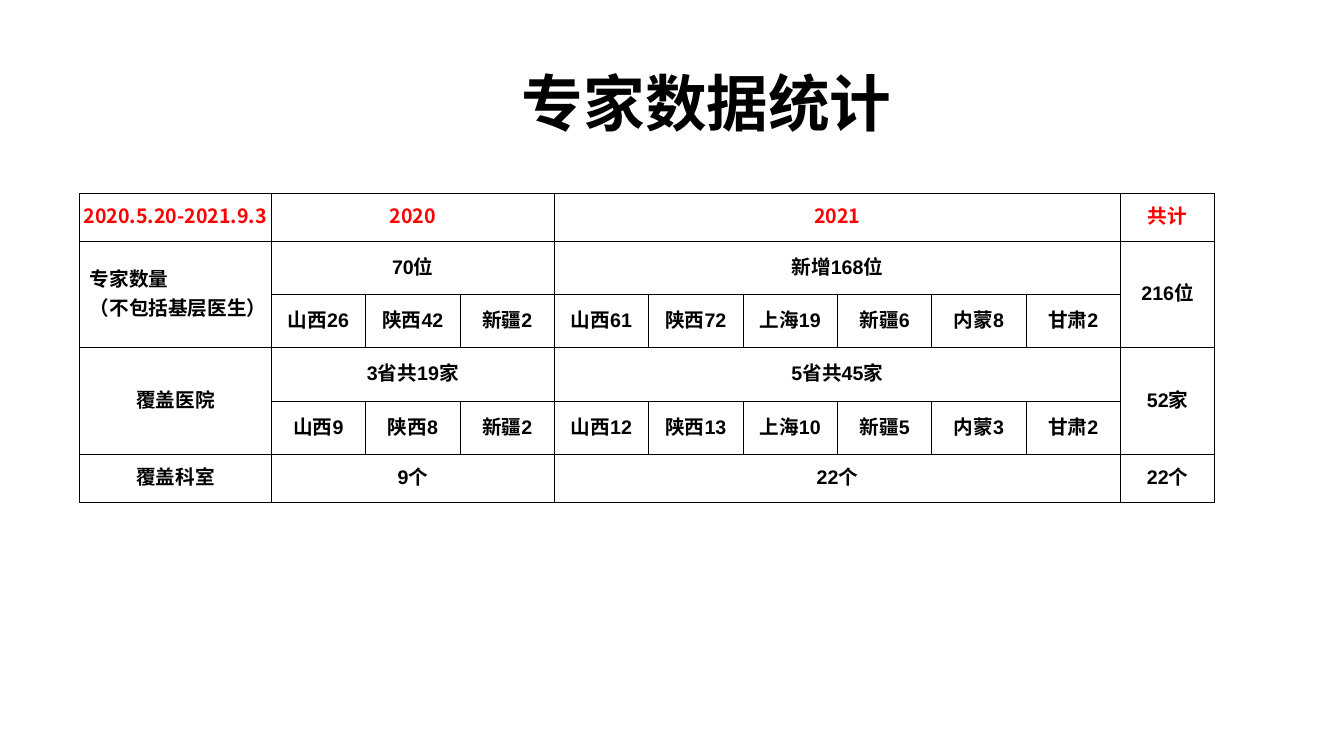
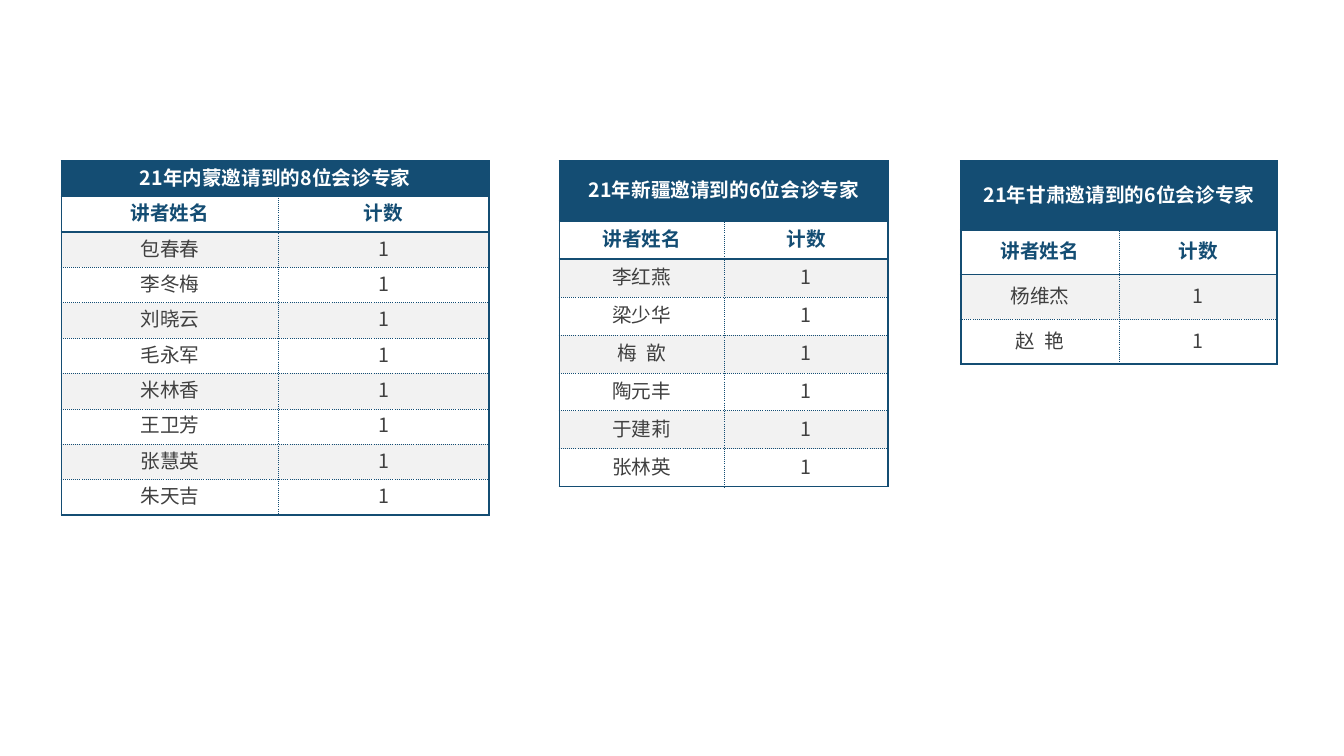
from lxml.etree import SubElement
from pptx import Presentation
from pptx.dml.color import RGBColor
from pptx.enum.text import MSO_ANCHOR, PP_ALIGN
from pptx.oxml.ns import qn
from pptx.util import Inches, Pt

COLORS = {
    "black": "000000", "red": "FF0000", "white": "FFFFFF",
    "navy": "144D73", "gray": "404040", "band": "F2F2F2",
}
CJK = "Noto Sans CJK SC"
TEXT_STYLES = {
    "title": {"size": 44, "name": CJK, "color": "black", "bold": True},
    "period": {"size": 14, "name": CJK, "color": "red", "bold": True},
    "total": {"size": 14, "name": "Arial", "color": "red", "bold": True},
    "figure": {"size": 14, "name": "Arial", "color": "black", "bold": True},
    "banner": {"size": 14, "name": CJK, "color": "white", "bold": True},
    "heading": {"size": 14, "name": CJK, "color": "navy", "bold": True},
    "expert": {"size": 14, "name": CJK, "color": "gray", "bold": False},
}
CELL_FORMAT = {
    "margin_left": Inches(0.01), "margin_right": Inches(0.01),
    "margin_top": Inches(0.01), "margin_bottom": Inches(0.05),
    "vertical_anchor": MSO_ANCHOR.MIDDLE,
}
THIN = ("black", 0.5, "solid")
SOLID = ("navy", 1.5, "solid")
DOTTED = ("navy", 0.25, "dot")


class Deck:
    def __init__(self):
        self.presentation = Presentation()
        self.presentation.slide_width = Inches(13.33)
        self.presentation.slide_height = Inches(7.5)
        self.slide = None

    def new_slide(self):
        self.slide = self.presentation.slides.add_slide(self.presentation.slide_layouts[6])

    def fill_text(self, frame, text, style, align=PP_ALIGN.CENTER):
        values = dict(TEXT_STYLES[style])
        color = RGBColor.from_string(COLORS[values.pop("color")])
        values["size"] = Pt(values["size"])
        paragraph = frame.paragraphs[0]
        paragraph.text = text
        paragraph.alignment = align
        for run in paragraph.runs:
            for attribute, value in values.items():
                setattr(run.font, attribute, value)
            run.font.color.rgb = color
            SubElement(run.font._element, qn("a:ea"), typeface=CJK)

    def title(self, text, left, top, width, height):
        box = self.slide.shapes.add_textbox(Inches(left), Inches(top), Inches(width), Inches(height))
        box.text_frame.word_wrap = True
        self.fill_text(box.text_frame, text, "title")

    def table(self, left, top, widths, heights):
        grid = self.slide.shapes.add_table(
            len(heights), len(widths), Inches(left), Inches(top),
            Inches(sum(widths)), Inches(sum(heights))).table
        grid.first_row = grid.horz_banding = False
        for column, width in zip(grid.columns, widths):
            column.width = Inches(width)
        for row, height in zip(grid.rows, heights):
            row.height = Inches(height)
        return grid

    def cell(self, cell, borders, fill=None):
        for attribute, value in CELL_FORMAT.items():
            setattr(cell, attribute, value)
        properties = cell._tc.get_or_add_tcPr()
        for side, (color, width, dash) in zip("LRTB", borders):
            line = SubElement(properties, qn(f"a:ln{side}"), w=str(Pt(width)))
            paint = SubElement(line, qn("a:solidFill"))
            SubElement(paint, qn("a:srgbClr"), val=COLORS[color])
            SubElement(line, qn("a:prstDash"), val=dash)
        if fill:
            cell.fill.solid()
            cell.fill.fore_color.rgb = RGBColor.from_string(COLORS[fill])
        else:
            cell.fill.background()

    def statistics(self, left, top, widths, heights, entries):
        grid = self.table(left, top, widths, heights)
        for cell in grid.iter_cells():
            self.cell(cell, [THIN] * 4)
        for row, column, row_span, column_span, text, style in entries:
            cell = grid.cell(row, column)
            if row_span * column_span > 1:
                cell.merge(grid.cell(row + row_span - 1, column + column_span - 1))
            self.fill_text(cell.text_frame, text, style)
        return grid

    def roster(self, left, widths, height, banner_height, banner, experts):
        rows = [(banner, ""), ("讲者姓名", "计数")] + [(expert, "1") for expert in experts]
        last = len(rows) - 1
        row_height = (height - banner_height) / last
        grid = self.table(left, 1.6, widths, [banner_height] + [row_height] * last)
        for row, texts in enumerate(rows):
            style = ("banner", "heading")[row] if row < 2 else "expert"
            fill = "navy" if row == 0 else "white" if row % 2 else "band"
            above = SOLID if row <= 2 else DOTTED
            below = SOLID if row <= 1 or row == last else DOTTED
            middle = SOLID if row == 0 else DOTTED
            for column, text in enumerate(texts):
                sides = (middle, SOLID) if column else (SOLID, middle)
                cell = grid.cell(row, column)
                self.cell(cell, (*sides, above, below), fill)
                if text:
                    self.fill_text(cell.text_frame, text, style)
        grid.cell(0, 0).merge(grid.cell(0, 1))


deck = Deck()

deck.new_slide()
deck.title("专家数据统计", 4.87, 0.59, 4.28, 0.84)
entries = [
    (0, 0, 1, 1, "2020.5.20-2021.9.3", "period"),
    (0, 1, 1, 3, "2020", "period"),
    (0, 4, 1, 6, "2021", "period"),
    (0, 10, 1, 1, "共计", "total"),
]
summaries = [
    (1, 2, "专家数量\v（不包括基层医生）", "70位", "新增168位", "216位"),
    (3, 2, "覆盖医院", "3省共19家", "5省共45家", "52家"),
    (5, 1, "覆盖科室", "9个", "22个", "22个"),
]
for row, row_span, topic, first_year, second_year, total in summaries:
    entries += [
        (row, 0, row_span, 1, topic, "figure"),
        (row, 1, 1, 3, first_year, "figure"),
        (row, 4, 1, 6, second_year, "figure"),
        (row, 10, row_span, 1, total, "figure"),
    ]
provinces = ["山西", "陕西", "新疆", "山西", "陕西", "上海", "新疆", "内蒙", "甘肃"]
province_counts = {
    2: [26, 42, 2, 61, 72, 19, 6, 8, 2],
    4: [9, 8, 2, 12, 13, 10, 5, 3, 2],
}
for row, counts in province_counts.items():
    for column, (province, count) in enumerate(zip(provinces, counts), 1):
        entries.append((row, column, 1, 1, f"{province}{count}", "figure"))
province_width = (11.26 - 1.9) / 10
statistics = deck.statistics(
    0.79, 1.92, [1.9] + [province_width] * 10, [0.47] + [0.53] * 4 + [0.47], entries)
expert_topic = statistics.cell(1, 0)
expert_topic.margin_left = Inches(0.1)
expert_topic.text_frame.paragraphs[0].alignment = PP_ALIGN.LEFT

deck.new_slide()
deck.roster(0.61, [2.15, 2.09], 3.51, 0.35, "21年内蒙邀请到的8位会诊专家",
            ["包春春", "李冬梅", "刘晓云", "毛永军", "米林香", "王卫芳", "张慧英", "朱天吉"])
deck.roster(5.55, [1.63, 1.63], 3.23, 0.59, "21年新疆邀请到的6位会诊专家",
            ["李红燕", "梁少华", "梅\u2002歆", "陶元丰", "于建莉", "张林英"])
deck.roster(9.53, [1.57, 1.57], 2.01, 0.68, "21年甘肃邀请到的6位会诊专家",
            ["杨维杰", "赵\u2002艳"])

deck.presentation.save("out.pptx")
